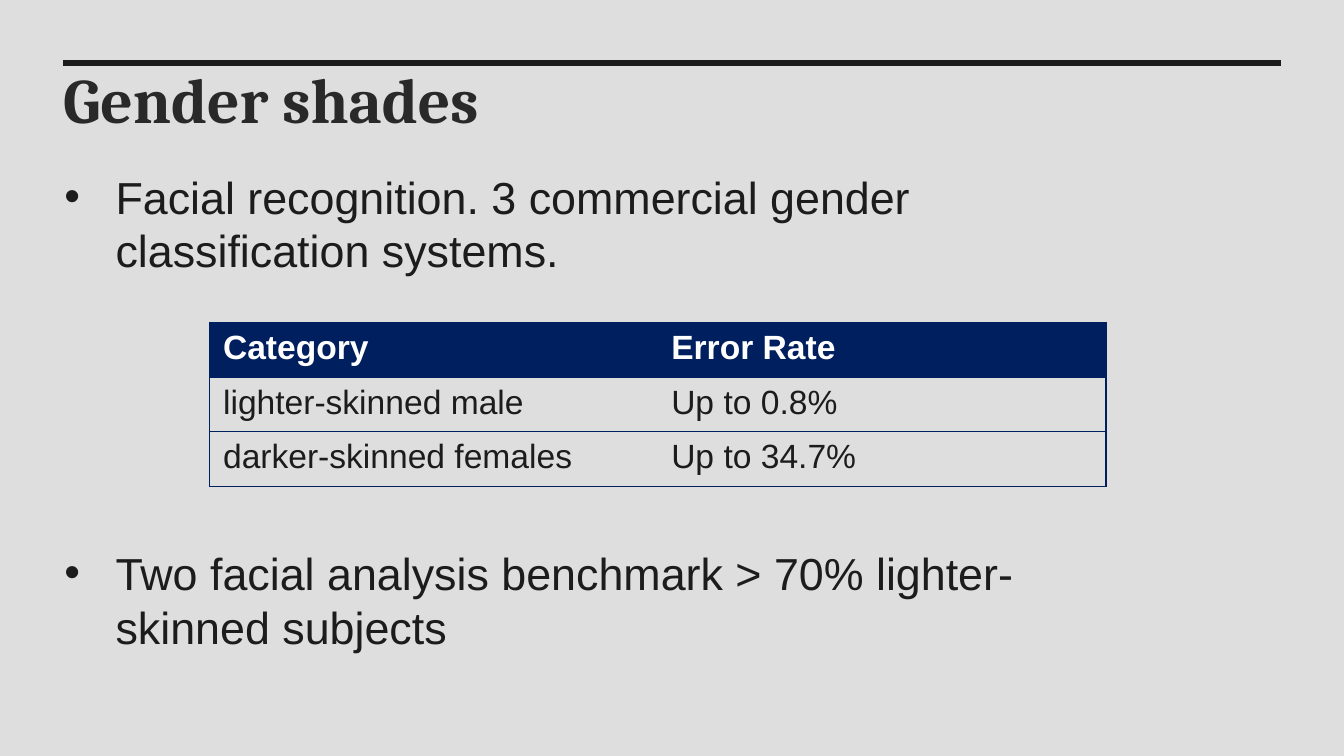
from lxml import etree
from pptx import Presentation
from pptx.dml.color import RGBColor as RGB
from pptx.enum.shapes import MSO_CONNECTOR as LINE
from pptx.enum.text import MSO_ANCHOR as ANCHOR, PP_ALIGN as ALIGN
from pptx.oxml.ns import qn
from pptx.util import Inches, Pt

COLORS = {"back": "DEDEDE", "ink": "1C1C1C", "title": "292929",
          "navy": "001F5E", "white": "FFFFFF"}
POINTS = [
    "Facial recognition. 3 commercial gender classification systems.",
    "Two facial analysis benchmark > 70% lighter-skinned subjects",
]
ROWS = [
    ("Category", "Error Rate"),
    ("lighter-skinned male", "Up to 0.8%"),
    ("darker-skinned females", "Up to 34.7%"),
]
PLAIN = "{2D5ABB26-0587-4C30-8999-92F81FD0307C}"  # table style without grid


def color(name):
    return RGB.from_string(COLORS[name])


def style(para, size, tone, face="Arial", bold=False):
    font = para.font
    font.name, font.size, font.bold = face, Pt(size), bold
    font.color.rgb = color(tone)


def place(shape, x, y, w, h):
    shape.left, shape.top = Inches(x), Inches(y)
    shape.width, shape.height = Inches(w), Inches(h)


def clear(frame):
    frame.word_wrap = True
    frame.vertical_anchor = ANCHOR.TOP
    frame.margin_left = frame.margin_right = 0
    frame.margin_top = frame.margin_bottom = 0


def add_head(slide, x, y, w, h):
    # Rule above the title
    rule = slide.shapes.add_connector(
        LINE.STRAIGHT, Inches(x), Inches(y + 0.02), Inches(x + w), Inches(y + 0.02))
    rule.line.color.rgb = color("ink")
    rule.line.width = Pt(3)
    etree.SubElement(rule._element.spPr, qn("a:effectLst"))
    # Title
    title = slide.shapes.title
    place(title, x, y, w, h)
    clear(title.text_frame)
    title.text_frame.text = "Gender shades"
    para = title.text_frame.paragraphs[0]
    para.alignment = ALIGN.LEFT
    style(para, 34, "title", "Cambria", True)


def add_points(slide, x, y, w, h, gap):
    box = slide.shapes.add_textbox(Inches(x), Inches(y), Inches(w), Inches(h))
    frame = box.text_frame
    clear(frame)
    for i, text in enumerate(POINTS):
        para = frame.add_paragraph() if i else frame.paragraphs[0]
        para.text = text
        para.space_before = Pt(gap if i else 0)
        style(para, 24, "ink")
        # Hanging bullet
        props = para._p.get_or_add_pPr()
        props.set("marL", str(Inches(0.38)))
        props.set("indent", str(-Inches(0.38)))
        face = etree.SubElement(props, qn("a:buFont"), typeface="Arial")
        mark = etree.SubElement(props, qn("a:buChar"), char="•")
        props.find(qn("a:defRPr")).addprevious(face)
        face.addnext(mark)


def add_edge(cell, side):
    props = cell._tc.get_or_add_tcPr()
    edge = etree.SubElement(props, qn("a:" + side), w=str(Pt(0.75)))
    fill = etree.SubElement(edge, qn("a:solidFill"))
    etree.SubElement(fill, qn("a:srgbClr"), val=COLORS["navy"])


def add_rates(slide, x, y, w, h):
    shape = slide.shapes.add_table(
        len(ROWS), 2, Inches(x), Inches(y), Inches(w), Inches(h))
    table = shape.table
    table._tbl.tblPr.find(qn("a:tableStyleId")).text = PLAIN
    table.horz_banding = False
    for r, row in enumerate(ROWS):
        for c, text in enumerate(row):
            cell = table.cell(r, c)
            cell.text = text
            head = r == 0
            style(cell.text_frame.paragraphs[0], 18,
                  "white" if head else "ink", bold=head)
            # Outer frame and lines between rows
            add_edge(cell, "lnR" if c else "lnL")
            if r < 2:
                add_edge(cell, "lnT")
            if not head:
                add_edge(cell, "lnB")
            if head:
                cell.fill.solid()
                cell.fill.fore_color.rgb = color("navy")
            else:
                cell.fill.background()


def main():
    deck = Presentation()
    deck.slide_width = Inches(10)
    deck.slide_height = deck.slide_width * 9 // 16
    slide = deck.slides.add_slide(deck.slide_layouts[5])
    slide.background.fill.solid()
    slide.background.fill.fore_color.rgb = color("back")
    add_head(slide, 0.47, 0.45, 9.06, 0.77)
    add_points(slide, 0.48, 1.26, 7.64, 3.49, gap=144)
    add_rates(slide, 1.56, 2.4, 6.67, 1.22)
    deck.save("out.pptx")


if __name__ == "__main__":
    main()
